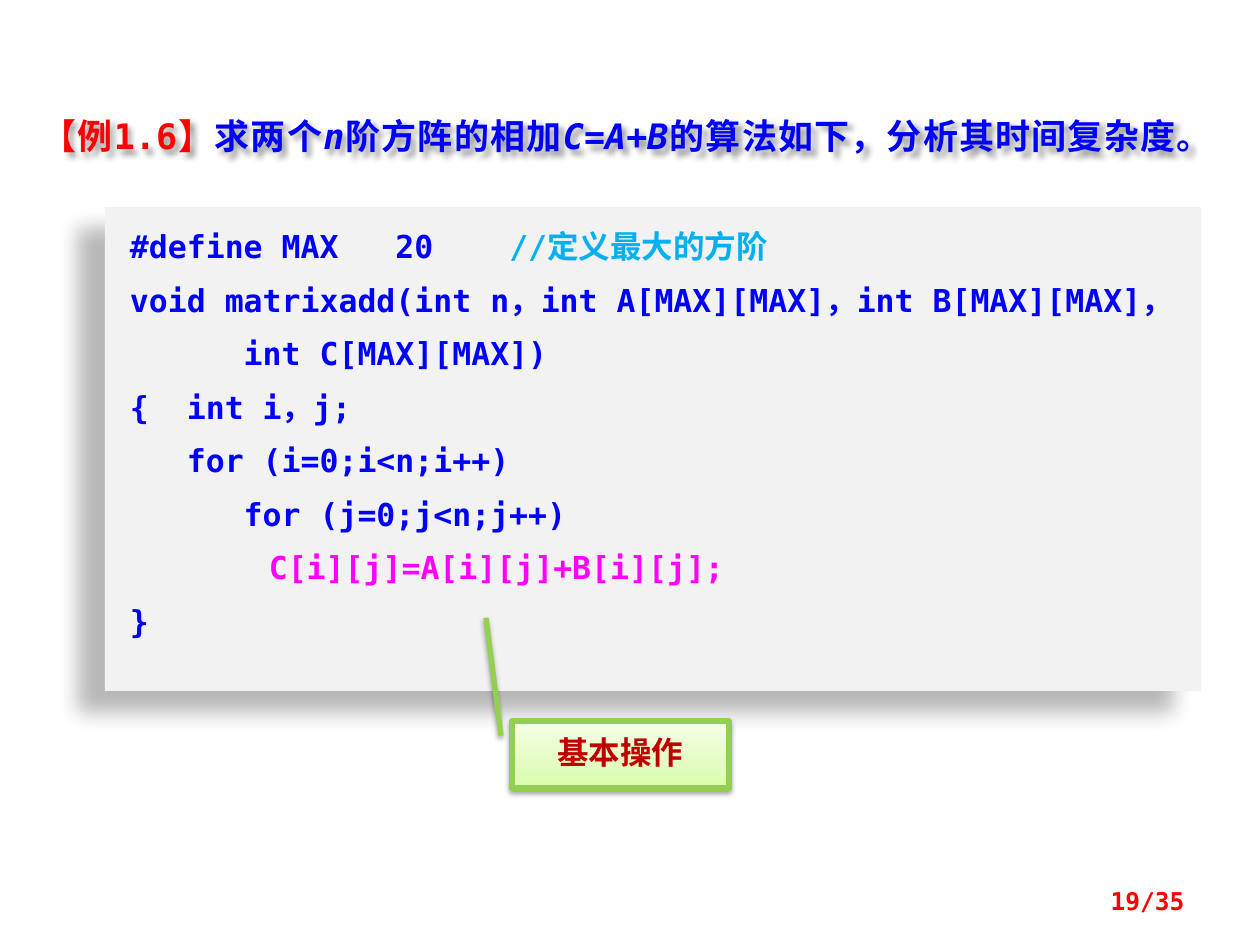
import pptx
import pptx.dml.color
import pptx.enum.shapes
import pptx.enum.text
import pptx.oxml
import pptx.oxml.ns
import pptx.util
from dataclasses import dataclass


@dataclass(frozen=True)
class Theme:
    mono: str = "DejaVu Sans Mono"
    cjk: str = "Noto Sans CJK JP"
    blue: str = "0000FF"
    red: str = "FF0000"
    cyan: str = "00B0F0"
    magenta: str = "FF00FF"
    dark_red: str = "C00000"
    panel: str = "F2F2F2"
    green: str = "92D050"
    gradient: tuple = ((0, "DAFDA7"), (35, "E4FCC2"), (100, "F5FFE7"))
    title_size: int = 20
    code_size: int = 18
    page_size: int = 14


T = Theme()
EMU_PER_PX = 914400 / 126
ALIGN = pptx.enum.text.PP_ALIGN
ANCHOR = pptx.enum.text.MSO_ANCHOR
SHAPE = pptx.enum.shapes.MSO_SHAPE

TITLE = [[
    ("【例1.6】", T.red, False),
    ("求两个", T.blue, False),
    ("n", T.blue, True),
    ("阶方阵的相加", T.blue, False),
    ("C", T.blue, True),
    ("=", T.blue, False),
    ("A", T.blue, True),
    ("+", T.blue, False),
    ("B", T.blue, True),
    ("的算法如下，分析其时间复杂度。", T.blue, False),
]]
CODE = [
    [("#define MAX   20    ", T.blue, False), ("//定义最大的方阶", T.cyan, False)],
    [("void matrixadd(int n，int A[MAX][MAX]，int B[MAX][MAX]，", T.blue, False)],
    [("      int C[MAX][MAX])", T.blue, False)],
    [("{  int i，j;", T.blue, False)],
    [("   for (i=0;i<n;i++)", T.blue, False)],
    [("      for (j=0;j<n;j++) ", T.blue, False)],
    [("\t    ", T.blue, False), ("C[i][j]=A[i][j]+B[i][j]; ", T.magenta, False)],
    [("}", T.blue, False)],
]
CALLOUT = [[("基本操作", T.dark_red, False)]]
PAGE = [[("19/35", T.red, False)]]

TITLE_BOX = (29, 108, 1160, 55)
CODE_BOX = (105, 207, 1096, 484)
CALLOUT_BOX = (512, 721, 217, 67)
PAGE_BOX = (903, 876, 294, 50)
CALLOUT_ADJ = (0.22, -0.05, 0.22, -0.05, -1.54, -0.12)


def px(n):
    return pptx.util.Emu(round(n * EMU_PER_PX))


def rgb(value):
    return pptx.dml.color.RGBColor.from_string(value)


def add_shadow(sp, alpha, blur, dist, angle):
    sp.shadow.inherit = False
    effects = sp._element.spPr.find(pptx.oxml.ns.qn("a:effectLst"))
    effects.append(pptx.oxml.parse_xml(
        f'<a:outerShdw {pptx.oxml.ns.nsdecls("a")} blurRad="{round(blur * 12700)}" '
        f'dist="{round(dist * 12700)}" dir="{angle * 60000}" algn="ctr" rotWithShape="0">'
        f'<a:srgbClr val="000000"><a:alpha val="{alpha * 1000}"/></a:srgbClr></a:outerShdw>'))


def fill_gradient(sp, stops, angle):
    sp.fill.gradient()
    sp.fill.gradient_angle = angle
    gs_list = sp._element.spPr.find(".//" + pptx.oxml.ns.qn("a:gsLst"))
    for gs in list(gs_list):
        gs_list.remove(gs)
    for pos, color in stops:
        gs_list.append(pptx.oxml.parse_xml(
            f'<a:gs {pptx.oxml.ns.nsdecls("a")} pos="{pos * 1000}">'
            f'<a:srgbClr val="{color}"/></a:gs>'))


def write(sp, lines, size, align, font=T.mono, anchor=ANCHOR.TOP, gap=0):
    tf = sp.text_frame
    tf.word_wrap = True
    tf.vertical_anchor = anchor
    for i, line in enumerate(lines):
        p = tf.add_paragraph() if i else tf.paragraphs[0]
        p.alignment = align
        if i and gap:
            p.space_before = pptx.util.Pt(gap)
        for text, color, italic in line:
            r = p.add_run()
            r.text = text
            r.font.name = font
            r.font.size = pptx.util.Pt(size)
            r.font.bold = True
            r.font.italic = italic
            r.font.color.rgb = rgb(color)
            r._r.get_or_add_rPr().append(pptx.oxml.parse_xml(
                f'<a:ea {pptx.oxml.ns.nsdecls("a")} typeface="{T.cjk}"/>'))
    return tf


def main():
    prs = pptx.Presentation()
    prs.slide_width, prs.slide_height = px(1260), px(945)
    shapes = prs.slides.add_slide(prs.slide_layouts[6]).shapes

    panel = shapes.add_shape(SHAPE.RECTANGLE, *map(px, CODE_BOX))
    panel.fill.solid()
    panel.fill.fore_color.rgb = rgb(T.panel)
    panel.line.fill.background()
    add_shadow(panel, 28, 11.8, 19.7, 141)
    tf = write(panel, CODE, T.code_size, ALIGN.JUSTIFY, gap=9)
    tf.margin_left = px(25)
    tf.margin_top = tf.margin_bottom = px(20)

    callout = shapes.add_shape(SHAPE.LINE_CALLOUT_2, *map(px, CALLOUT_BOX))
    for i, value in enumerate(CALLOUT_ADJ):
        callout.adjustments[i] = value
    fill_gradient(callout, T.gradient, 90)
    callout.line.color.rgb = rgb(T.green)
    callout.line.width = pptx.util.Pt(3)
    add_shadow(callout, 38, 3.1, 1.6, 90)
    tf = write(callout, CALLOUT, T.code_size, ALIGN.CENTER, font=T.cjk)
    tf.paragraphs[0].line_spacing = pptx.util.Pt(25)

    title = shapes.add_textbox(*map(px, TITLE_BOX))
    add_shadow(title, 40, 3, 3, 45)
    write(title, TITLE, T.title_size, ALIGN.JUSTIFY)

    page = shapes.add_textbox(*map(px, PAGE_BOX))
    write(page, PAGE, T.page_size, ALIGN.RIGHT, anchor=ANCHOR.MIDDLE)

    prs.save("out.pptx")


if __name__ == "__main__":
    main()
